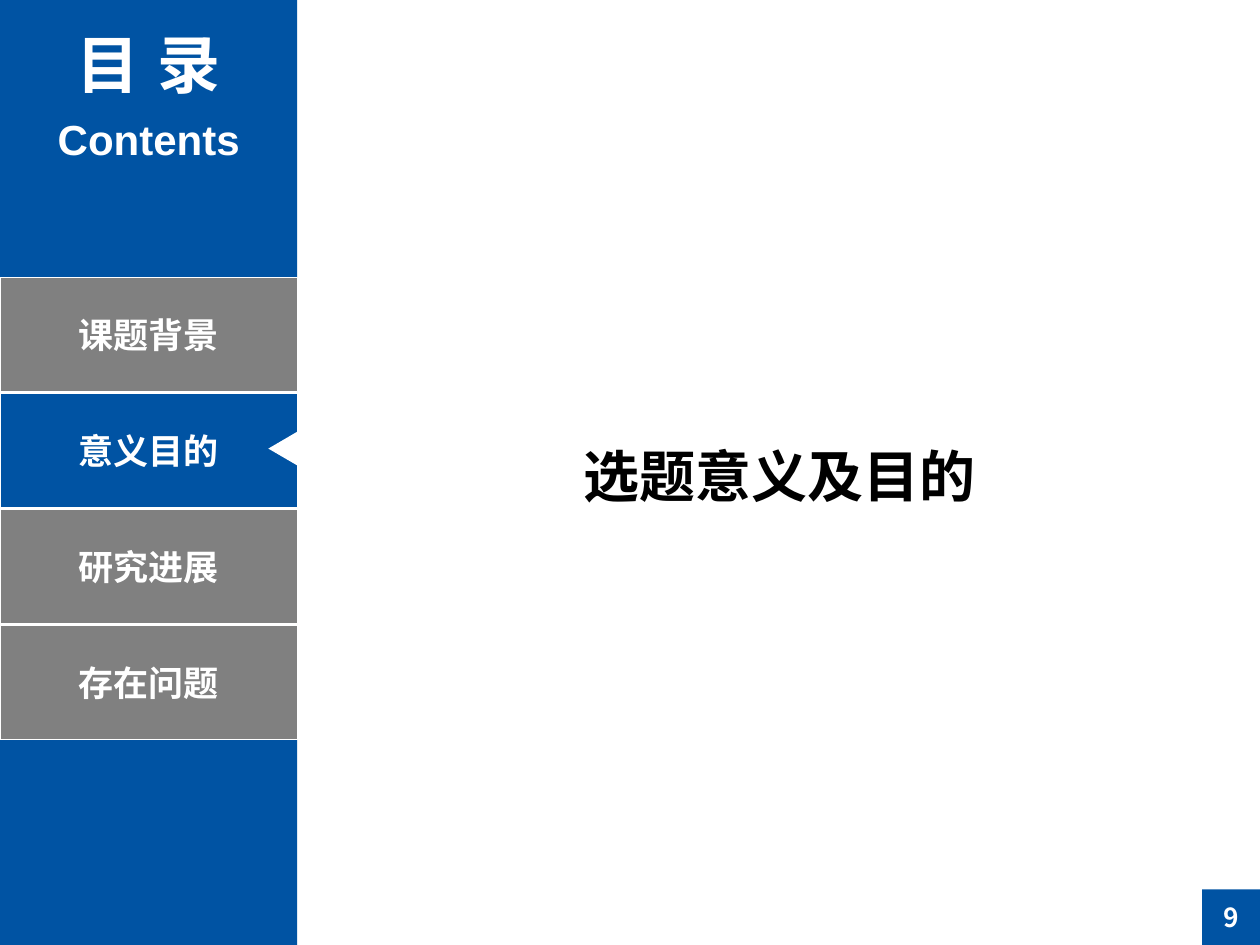
from lxml import etree
from pptx import Presentation
from pptx.dml.color import RGBColor
from pptx.enum.shapes import MSO_SHAPE
from pptx.enum.text import MSO_ANCHOR, MSO_AUTO_SIZE, PP_ALIGN
from pptx.oxml.ns import qn
from pptx.util import Inches, Pt

RECTANGLE = MSO_SHAPE.RECTANGLE
TRIANGLE = MSO_SHAPE.ISOSCELES_TRIANGLE
CENTER = PP_ALIGN.CENTER
MIDDLE = MSO_ANCHOR.MIDDLE
TOP = MSO_ANCHOR.TOP
NO_AUTOFIT = MSO_AUTO_SIZE.NONE
TITLE_ONLY = 5

COLORS = {"blue": "0053A3", "gray": "808080", "white": "FFFFFF", "black": "000000"}
CJK_FONT = "Noto Sans CJK SC"
LATIN_FONT = "Arial"

SLIDE_WIDTH, SLIDE_HEIGHT = 10, 7.5
SIDEBAR_WIDTH = 2.36
HEADING_MARGIN = 0.12
MENU_TOP, MENU_PITCH, MENU_HEIGHT = 2.2, 0.92, 0.91
MENU_ITEMS = ["课题背景", "意义目的", "研究进展", "存在问题"]
ACTIVE_ITEM = "意义目的"
BADGE_WIDTH, BADGE_HEIGHT = 0.46, 0.44


def color(name):
    return RGBColor.from_string(COLORS[name])


def write_text(shape, text, size, font=CJK_FONT, ink="white", anchor=MIDDLE):
    """Set one bold, centred line, with the font for Latin and East Asian text."""
    frame = shape.text_frame
    frame_format = {"word_wrap": True, "auto_size": NO_AUTOFIT, "vertical_anchor": anchor}
    for name, value in frame_format.items():
        setattr(frame, name, value)
    paragraph = frame.paragraphs[0]
    paragraph.alignment = CENTER
    run = paragraph.add_run()
    run.text = text
    for name, value in {"size": Pt(size), "bold": True, "name": font}.items():
        setattr(run.font, name, value)
    run.font.color.rgb = color(ink)
    east_asian = etree.Element(qn("a:ea"), typeface=font)
    run.font._element.find(qn("a:latin")).addnext(east_asian)


def add_block(slide, box, fill, outline=None, preset=RECTANGLE):
    shape = slide.shapes.add_shape(preset, *map(Inches, box))
    shape.shadow.inherit = False
    shape.fill.solid()
    shape.fill.fore_color.rgb = color(fill)
    if outline:
        shape.line.color.rgb = color(outline)
        shape.line.width = Pt(0.75)
    else:
        shape.line.fill.background()
    return shape


def add_heading(slide, text, top, height, size):
    width = SIDEBAR_WIDTH - 2 * HEADING_MARGIN
    box = (HEADING_MARGIN, top, width, height)
    shape = slide.shapes.add_textbox(*map(Inches, box))
    write_text(shape, text, size, LATIN_FONT, anchor=TOP)


def add_menu(slide):
    for row, label in enumerate(MENU_ITEMS):
        fill = "blue" if label == ACTIVE_ITEM else "gray"
        box = (0, MENU_TOP + row * MENU_PITCH, SIDEBAR_WIDTH, MENU_HEIGHT)
        write_text(add_block(slide, box, fill, "white"), label, 20)
    pointer = add_block(slide, (2.11, 3.44, 0.28, 0.24), "white", preset=TRIANGLE)
    pointer.rotation = 270


def add_page_number(slide, number):
    box = (SLIDE_WIDTH - BADGE_WIDTH, SLIDE_HEIGHT - BADGE_HEIGHT, BADGE_WIDTH, BADGE_HEIGHT)
    write_text(add_block(slide, box, "blue"), number, 15)


def place_title(slide, text):
    title = slide.shapes.title
    box = {"left": 4.33, "top": 3.45, "width": 3.72, "height": 0.64}
    for name, value in box.items():
        setattr(title, name, Inches(value))
    write_text(title, text, 32, ink="black")


def main():
    presentation = Presentation()
    presentation.slide_width = Inches(SLIDE_WIDTH)
    presentation.slide_height = Inches(SLIDE_HEIGHT)
    slide = presentation.slides.add_slide(presentation.slide_layouts[TITLE_ONLY])
    add_block(slide, (0, 0, SIDEBAR_WIDTH, SLIDE_HEIGHT), "blue")
    add_heading(slide, "目 录", 0.15, 0.71, 36)
    add_heading(slide, "Contents", 0.85, 0.5, 24)
    add_page_number(slide, "9")
    place_title(slide, "选题意义及目的")
    add_menu(slide)
    presentation.save("out.pptx")


if __name__ == "__main__":
    main()
